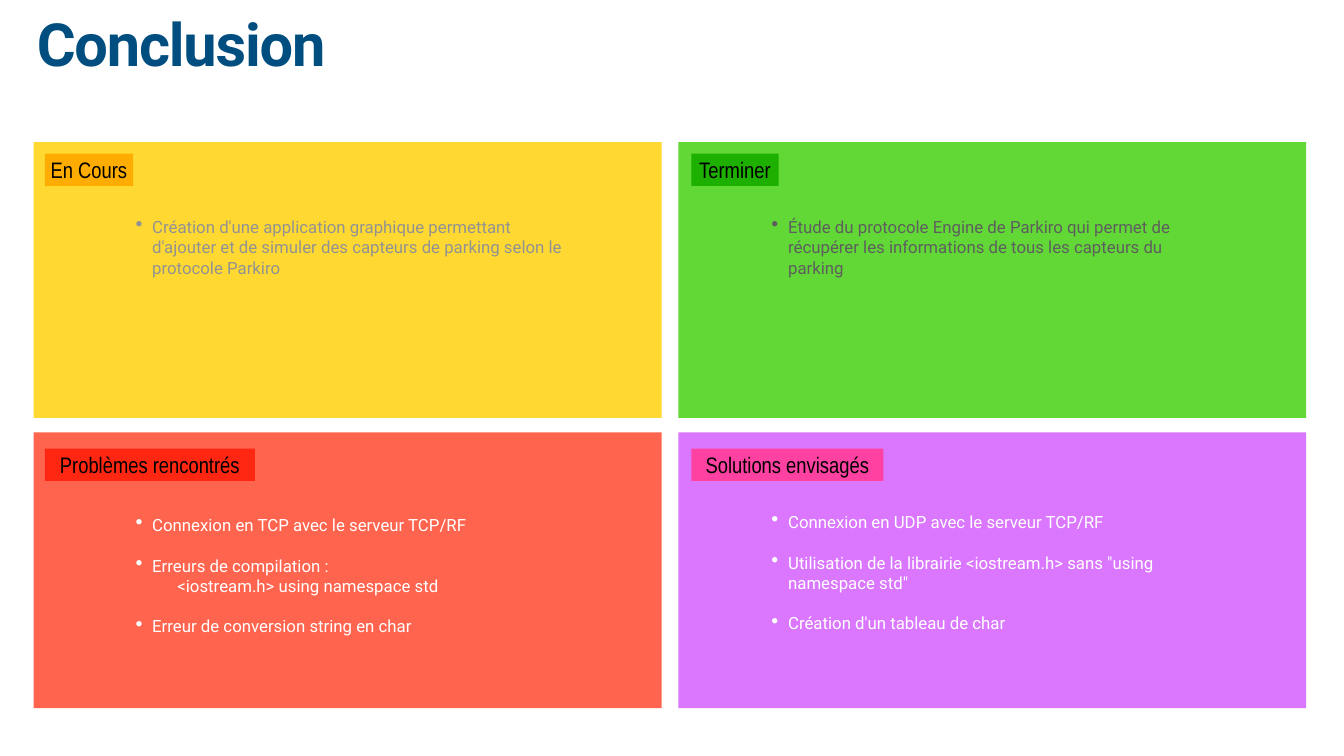
from lxml.etree import SubElement
from pptx import Presentation
from pptx.dml.color import RGBColor
from pptx.enum.shapes import MSO_SHAPE
from pptx.enum.text import MSO_ANCHOR, MSO_AUTO_SIZE, PP_ALIGN
from pptx.oxml.ns import qn
from pptx.util import Pt

PX = 9144  # 100 px to the inch
THEME = {
    "title": ("Roboto", 85, "004D80"),
    "tag": ("Arial Narrow", 32, "000000"),
    "body": ("Roboto", 24),
    "gap": 29,
}


def style(para, name, size, color):
    para.font.name = name
    para.font.size = Pt(size)
    para.font.color.rgb = RGBColor.from_string(color)


def block(left, top, width, height, fill=None):
    """Add a filled rectangle, or a text box when there is no fill."""
    box = [n * PX for n in (left, top, width, height)]
    if fill:
        shape = slide.shapes.add_shape(MSO_SHAPE.RECTANGLE, *box)
        shape.shadow.inherit = False
        shape.fill.solid()
        shape.fill.fore_color.rgb = RGBColor.from_string(fill)
        shape.line.fill.background()
    else:
        shape = slide.shapes.add_textbox(*box)
    frame = shape.text_frame
    frame.margin_left = frame.margin_right = 6 * PX
    frame.margin_top = frame.margin_bottom = 6 * PX
    frame.word_wrap = True
    return frame


deck = Presentation()
deck.slide_width = 2667 * PX
deck.slide_height = 1500 * PX
slide = deck.slides.add_slide(deck.slide_layouts[6])

# Title
frame = block(67, 35, 1146, 157)
para = frame.paragraphs[0]
para.text = "Conclusion"
para.line_spacing = 0.8
style(para, *THEME["title"])
para.font.bold = True
para._p.pPr.find(qn("a:defRPr")).set("spc", "-170")

# Cards: fill, tag (left, top, width, fill, text), list (top, height, color, items)
# Each item is (kind, text); a "sub" line belongs to the bullet above it.
cards = [
    ("FFD932", (89, 305, 175, "FEAD00", "En Cours"),
     (425, 131, "929292", [
         ("dot", "Création d'une application graphique permettant d'ajouter "
                 "et de simuler des capteurs de parking selon le protocole Parkiro"),
     ])),
    ("61D836", (1372, 305, 173, "1EB001", "Terminer"),
     (425, 131, "5E5E5E", [
         ("dot", "Étude du protocole Engine de Parkiro qui permet de récupérer "
                 "les informations de tous les capteurs du parking"),
     ])),
    ("FF644E", (89, 890, 417, "FF2712", "Problèmes rencontrés"),
     (1016, 252, "FFFFFF", [
         ("dot", "Connexion en TCP avec le serveur TCP/RF"),
         ("dot", "Erreurs de compilation :"),
         ("sub", "<iostream.h> using namespace std"),
         ("dot", "Erreur de conversion string en char"),
     ])),
    ("DA77FE", (1372, 890, 381, "FF42A1", "Solutions envisagés"),
     (1010, 252, "FFFFFF", [
         ("dot", "Connexion en UDP avec le serveur TCP/RF"),
         ("dot", "Utilisation de la librairie <iostream.h> sans "
                 "\"using namespace std\""),
         ("dot", "Création d'un tableau de char"),
     ])),
]

for i, (fill, tag, notes) in enumerate(cards):
    row, col = divmod(i, 2)
    block(67 + col * 1279, 282 + row * 576, 1246, 547, fill)

    # Tag
    left, top, width, shade, label = tag
    frame = block(left, top, width, 64, shade)
    frame.word_wrap = False
    frame.auto_size = MSO_AUTO_SIZE.SHAPE_TO_FIT_TEXT
    frame.vertical_anchor = MSO_ANCHOR.MIDDLE
    para = frame.paragraphs[0]
    para.text = label
    para.alignment = PP_ALIGN.CENTER
    style(para, *THEME["tag"])

    # Bullet list
    top, height, color, items = notes
    frame = block(196 + col * 1262, top, 943, height)
    frame.auto_size = MSO_AUTO_SIZE.SHAPE_TO_FIT_TEXT
    frame.vertical_anchor = MSO_ANCHOR.MIDDLE
    for n, (kind, text) in enumerate(items):
        para = frame.add_paragraph() if n else frame.paragraphs[0]
        para.text = text
        props = para._p.get_or_add_pPr()
        if kind == "dot":
            if n:
                para.space_before = Pt(THEME["gap"])
            props.set("marL", str(100 * PX))
            props.set("indent", str(-33 * PX))
            SubElement(props, qn("a:buSzPct")).set("val", "123000")
            SubElement(props, qn("a:buChar")).set("char", "•")
        else:
            props.set("marL", "0")
            props.set("indent", str(150 * PX))
        style(para, *THEME["body"], color)

deck.save("out.pptx")
